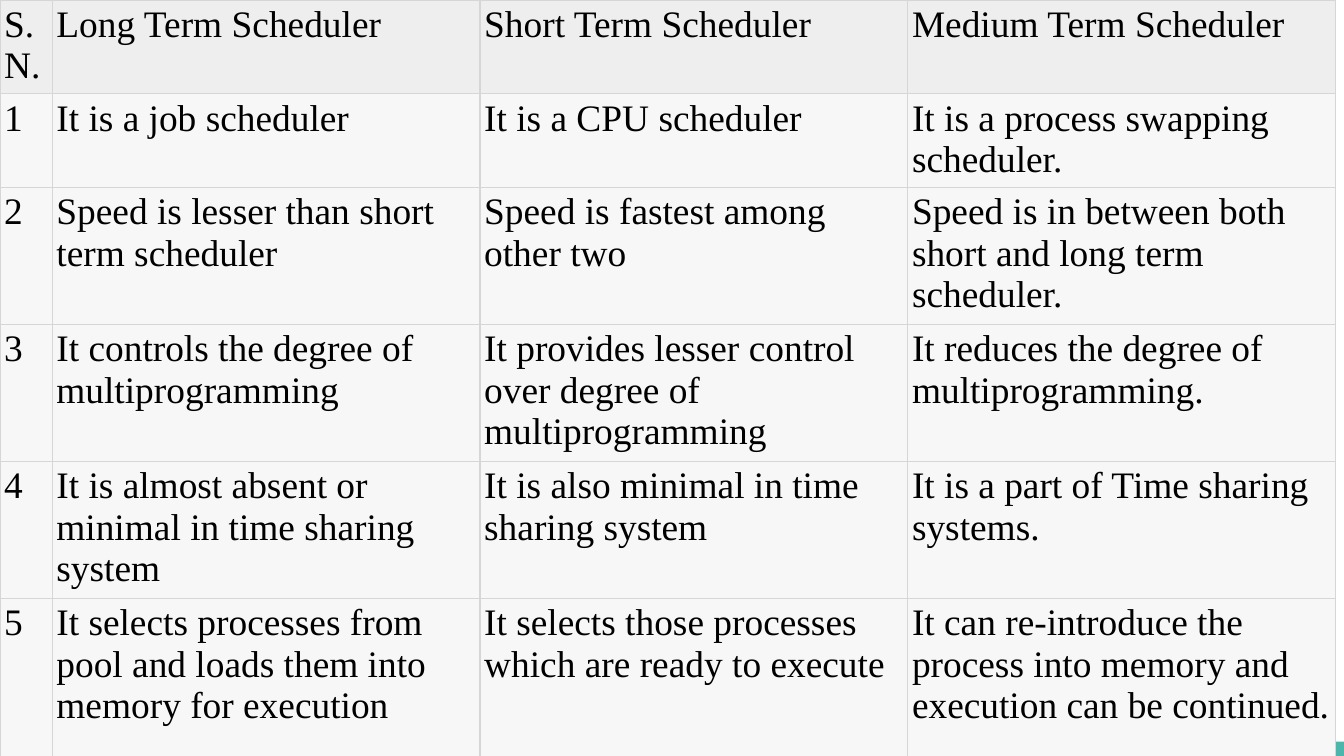
from dataclasses import dataclass

from lxml import etree
from pptx import Presentation
from pptx.dml.color import RGBColor
from pptx.enum import shapes, text
from pptx.oxml import ns
from pptx.util import Pt


@dataclass(frozen=True)
class Theme:
    ink: str = "000000"
    header: str = "EEEEEE"
    body: str = "F7F7F7"
    rule: str = "D6D6D6"
    accent: str = "4DB6AC"
    font: str = "Times New Roman"
    size: float = 20
    rule_width: float = 0.75
    cell_margin: float = 2.25


THEME = Theme()
SLIDE_WIDTH, SLIDE_HEIGHT = 720, 405
FOOTER_HEIGHT = 7.6

NUMBER_SHARE = 28 / 715.6
ROW_HEIGHTS = [50.2, 50.2, 73.4, 73.4, 73.4, 92]
COMPARISON = [
    ("S.N.", "Long Term Scheduler", "Short Term Scheduler", "Medium Term Scheduler"),
    ("1", "It is a job scheduler", "It is a CPU scheduler",
     "It is a process swapping scheduler."),
    ("2", "Speed is lesser than short term scheduler",
     "Speed is fastest among other two",
     "Speed is in between both short and long term scheduler."),
    ("3", "It controls the degree of multiprogramming",
     "It provides lesser control over degree of multiprogramming",
     "It reduces the degree of multiprogramming."),
    ("4", "It is almost absent or minimal in time sharing system",
     "It is also minimal in time sharing system",
     "It is a part of Time sharing systems."),
    ("5", "It selects processes from pool and loads them into memory for execution",
     "It selects those processes which are ready to execute",
     "It can re-introduce the process into memory and execution can be continued."),
]


def color(value):
    return RGBColor.from_string(value)


def add_borders(cell):
    """Rule all four sides; borders must precede the fill in the cell XML."""
    properties = cell._tc.get_or_add_tcPr()
    for position, side in enumerate(("lnL", "lnR", "lnT", "lnB")):
        line = etree.Element(ns.qn(f"a:{side}"), w=str(Pt(THEME.rule_width)))
        fill = etree.SubElement(line, ns.qn("a:solidFill"))
        etree.SubElement(fill, ns.qn("a:srgbClr"), val=THEME.rule)
        properties.insert(position, line)


def fill_cell(cell, wording, background):
    cell.margin_left = cell.margin_right = Pt(THEME.cell_margin)
    cell.margin_top = cell.margin_bottom = Pt(THEME.cell_margin)
    cell.vertical_anchor = text.MSO_ANCHOR.TOP
    cell.fill.solid()
    cell.fill.fore_color.rgb = color(background)
    add_borders(cell)
    cell.text = wording
    font = cell.text_frame.paragraphs[0].font
    font.name, font.size, font.bold = THEME.font, Pt(THEME.size), False
    font.color.rgb = color(THEME.ink)


def add_footer_bar(slide, left, top, width, height):
    bar = slide.shapes.add_shape(shapes.MSO_SHAPE.RECTANGLE,
                                 Pt(left), Pt(top), Pt(width), Pt(height))
    bar.shadow.inherit = False
    bar.fill.solid()
    bar.fill.fore_color.rgb = color(THEME.accent)
    bar.line.fill.background()


def add_comparison(slide, left, top, width, height):
    """Narrow number column, then equal columns; rows scale to the height."""
    row_count, column_count = len(COMPARISON), len(COMPARISON[0])
    table = slide.shapes.add_table(row_count, column_count, Pt(left), Pt(top),
                                   Pt(width), Pt(height)).table
    number_width = width * NUMBER_SHARE
    scheduler_width = (width - number_width) / (column_count - 1)
    for index, column in enumerate(table.columns):
        column.width = Pt(scheduler_width if index else number_width)
    scale = height / sum(ROW_HEIGHTS)
    for r, (row_height, entries) in enumerate(zip(ROW_HEIGHTS, COMPARISON)):
        table.rows[r].height = Pt(row_height * scale)
        for c, wording in enumerate(entries):
            fill_cell(table.cell(r, c), wording, THEME.body if r else THEME.header)


def main():
    deck = Presentation()
    deck.slide_width, deck.slide_height = Pt(SLIDE_WIDTH), Pt(SLIDE_HEIGHT)
    slide = deck.slides.add_slide(deck.slide_layouts[6])
    add_footer_bar(slide, 0, SLIDE_HEIGHT - FOOTER_HEIGHT, SLIDE_WIDTH, FOOTER_HEIGHT)
    add_comparison(slide, 0, 0, 715.6, sum(ROW_HEIGHTS))
    deck.save("out.pptx")


if __name__ == "__main__":
    main()
